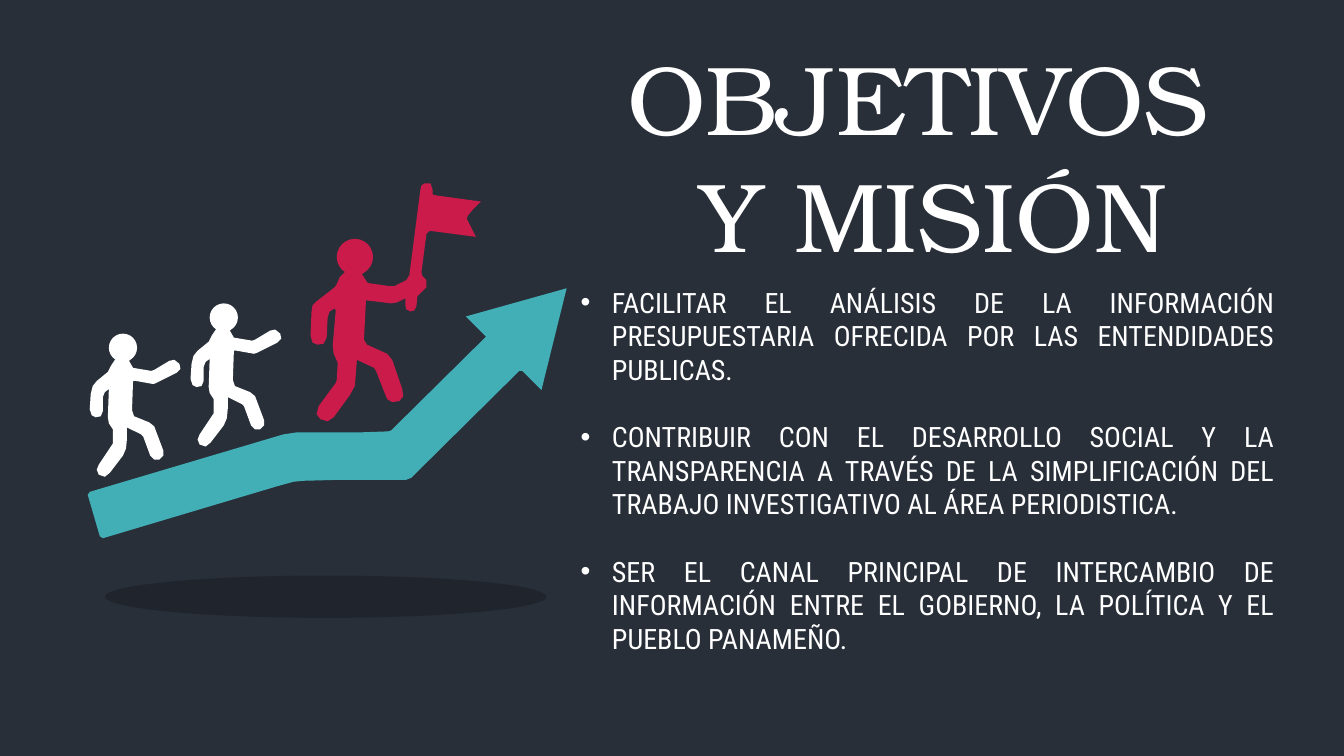
from math import cos, radians, sin

from lxml import etree
from pptx import Presentation
from pptx.dml.color import RGBColor
from pptx.enum import shapes, text
from pptx.oxml import ns
from pptx.util import Inches, Pt

NAVY = RGBColor(0x28, 0x2F, 0x39)
BLACK = RGBColor(0, 0, 0)
WHITE = RGBColor(0xFF, 0xFF, 0xFF)
TEAL = RGBColor(0x42, 0xAF, 0xB6)
CRIMSON = RGBColor(0xCB, 0x1B, 0x4A)

TITLE = ["OBJETIVOS ", "Y MISIÓN"]
GOALS = [
    "FACILITAR EL ANÁLISIS DE LA INFORMACIÓN PRESUPUESTARIA OFRECIDA POR LAS "
    "ENTENDIDADES PUBLICAS.",
    "CONTRIBUIR CON EL DESARROLLO SOCIAL Y LA TRANSPARENCIA A TRAVÉS DE LA "
    "SIMPLIFICACIÓN DEL TRABAJO INVESTIGATIVO AL ÁREA PERIODISTICA.",
    "SER EL CANAL PRINCIPAL DE INTERCAMBIO DE INFORMACIÓN ENTRE EL GOBIERNO, "
    "LA POLÍTICA Y EL PUEBLO PANAMEÑO.",
]
TITLE_FORMAT = {"alignment": text.PP_ALIGN.CENTER, "line_spacing": 1.0,
                "space_before": Pt(0)}
GOAL_FORMAT = {"alignment": text.PP_ALIGN.JUSTIFY, "line_spacing": 1.0}
TITLE_FONT = {"name": "TeX Gyre Bonum", "size": Pt(70)}
GOAL_FONT = {"name": "Roboto Condensed", "size": Pt(20)}


def head(x, y, radius):
    """Return points round a head, from the left of the neck to its right."""
    return [(x + radius * cos(radians(a)), y + radius * sin(radians(a)))
            for a in range(120, 421, 15)]


ARROW = [
    (4.82, 3.34), (4.62, 3.14), (5.62, 2.86), (5.37, 3.87), (5.18, 3.68),
    (5.15, 3.68), (4.11, 4.71), (4.08, 4.74), (4.03, 4.76), (3.39, 4.76),
    (3.01, 4.77), (2.91, 4.78), (2.73, 4.83), (1.02, 5.34), (0.99, 5.32),
    (0.87, 4.91), (0.89, 4.88), (2.81, 4.31), (2.94, 4.29), (3.56, 4.29),
    (3.85, 4.28), (3.88, 4.27),
]
WALKER = [
    (1.26, 4.24), (1.26, 4.35), (1.25, 4.45), (1.22, 4.52), (1.09, 4.69),
    (1.04, 4.73), (0.98, 4.71), (0.96, 4.66), (0.98, 4.61), (1.1, 4.43),
    (1.12, 4.4), (1.12, 4.26), (1.08, 4.2), (1.07, 4.14), (1.08, 3.86),
    (1.04, 3.89), (1.02, 3.94), (1.02, 4.08), (1, 4.13), (0.95, 4.14),
    (0.91, 4.12), (0.89, 4.06), (0.9, 3.91), (0.92, 3.83), (0.96, 3.78),
    (1.07, 3.69), (1.1, 3.63), (1.14, 3.57), *head(1.22, 3.45, 0.14),
    (1.28, 3.58), (1.32, 3.65), (1.5, 3.68), (1.53, 3.67), (1.68, 3.58),
    (1.73, 3.57), (1.78, 3.61), (1.79, 3.66), (1.75, 3.7), (1.55, 3.8),
    (1.52, 3.81), (1.35, 3.78), (1.32, 3.78), (1.31, 4.07), (1.33, 4.13),
    (1.48, 4.19), (1.53, 4.23), (1.62, 4.47), (1.62, 4.52), (1.58, 4.56),
    (1.53, 4.56), (1.49, 4.52), (1.42, 4.33), (1.4, 4.31),
]
LEADER = [
    (3.32, 3.06), (3.27, 3.09), (3.25, 3.15), (3.24, 3.35), (3.21, 3.41),
    (3.15, 3.42), (3.1, 3.4), (3.08, 3.33), (3.09, 3.09), (3.1, 3.03),
    (3.14, 2.99), (3.32, 2.85), (3.34, 2.82), (3.37, 2.75), (3.42, 2.7),
    *head(3.52, 2.55, 0.18), (3.59, 2.72), (3.64, 2.8), (3.66, 2.81),
    (3.87, 2.84), (3.91, 2.84), (4.03, 2.78), (4.06, 2.73), (4.17, 1.88),
    (4.18, 1.84), (4.21, 1.82), (4.27, 1.82), (4.29, 1.88), (4.29, 1.93),
    (4.33, 1.94), (4.77, 2), (4.69, 2.08), (4.64, 2.14), (4.63, 2.17),
    (4.72, 2.35), (4.26, 2.29), (4.23, 2.32), (4.18, 2.7), (4.19, 2.74),
    (4.23, 2.78), (4.23, 2.85), (4.19, 2.89), (4.14, 2.94), (4.13, 3.04),
    (4.11, 3.08), (4.07, 3.09), (4.03, 3.07), (4.02, 3.03), (4.02, 2.96),
    (3.94, 3), (3.88, 3.01), (3.63, 2.98), (3.61, 3.37), (3.64, 3.42),
    (3.84, 3.51), (3.89, 3.57), (3.99, 3.86), (4, 3.93), (3.96, 3.98),
    (3.89, 3.99), (3.84, 3.96), (3.8, 3.86), (3.73, 3.68), (3.71, 3.65),
    (3.54, 3.57), (3.52, 3.83), (3.47, 3.92), (3.31, 4.14), (3.25, 4.18),
    (3.18, 4.16), (3.14, 4.11), (3.16, 4.03), (3.33, 3.8), (3.34, 3.77),
    (3.35, 3.6), (3.31, 3.51), (3.3, 3.43), (3.33, 3.08),
]


def paint(shape, colour):
    """Give a shape a plain fill with no outline or shadow."""
    shape.shadow.inherit = False
    shape.fill.solid()
    shape.fill.fore_color.rgb = colour
    shape.line.fill.background()


def add_outline(page, points, colour, dx=0, dy=0):
    """Draw a closed outline, moved by dx and dy inches."""
    moved = [(Inches(x + dx), Inches(y + dy)) for x, y in points]
    builder = page.shapes.build_freeform(*moved[0])
    builder.add_line_segments(moved[1:], close=True)
    paint(builder.convert_to_shape(), colour)


def add_ground_shadow(page):
    """Draw the translucent ellipse under the arrow."""
    place = map(Inches, (1.04, 5.71, 4.38, 0.42))
    ellipse = page.shapes.add_shape(shapes.MSO_SHAPE.OVAL, *place)
    paint(ellipse, BLACK)
    colour = ellipse._element.spPr.find(".//" + ns.qn("a:srgbClr"))
    etree.SubElement(colour, ns.qn("a:alpha"), val="20000")


def fill_box(box, place, lines, para_format, font_format):
    """Place a placeholder and write its formatted paragraphs."""
    box.left, box.top, box.width, box.height = map(Inches, place)
    frame = box.text_frame
    frame.auto_size = text.MSO_AUTO_SIZE.NONE
    frame.vertical_anchor = text.MSO_ANCHOR.TOP
    frame.word_wrap = True
    frame.text = "\n".join(lines)
    for para in frame.paragraphs:
        for name, value in para_format.items():
            setattr(para, name, value)
        for span in para.runs:
            span.font.color.rgb = WHITE
            for name, value in font_format.items():
                setattr(span.font, name, value)


def indent_goals(paras):
    """Hang the bullets and leave one line between the goals."""
    for index, para in enumerate(paras):
        para.space_before = Pt(24 if index else 0)
        properties = para._p.get_or_add_pPr()
        properties.set("marL", str(Inches(0.31)))
        properties.set("indent", str(Inches(-0.31)))


def main():
    """Build and save the slide."""
    deck = Presentation()
    deck.slide_width, deck.slide_height = Inches(13.33), Inches(7.5)
    page = deck.slides.add_slide(deck.slide_layouts[1])
    page.background.fill.solid()
    page.background.fill.fore_color.rgb = NAVY

    add_ground_shadow(page)
    add_outline(page, ARROW, TEAL)
    add_outline(page, LEADER, CRIMSON)
    add_outline(page, WALKER, WHITE)
    add_outline(page, WALKER, WHITE, dx=1, dy=-0.3)

    title, goals = page.placeholders
    fill_box(title, (4.96, 0.32, 8.6, 2.46), TITLE, TITLE_FORMAT, TITLE_FONT)
    fill_box(goals, (5.66, 2.78, 7.08, 3.8), GOALS, GOAL_FORMAT, GOAL_FONT)
    indent_goals(goals.text_frame.paragraphs)
    deck.save("out.pptx")


main()
